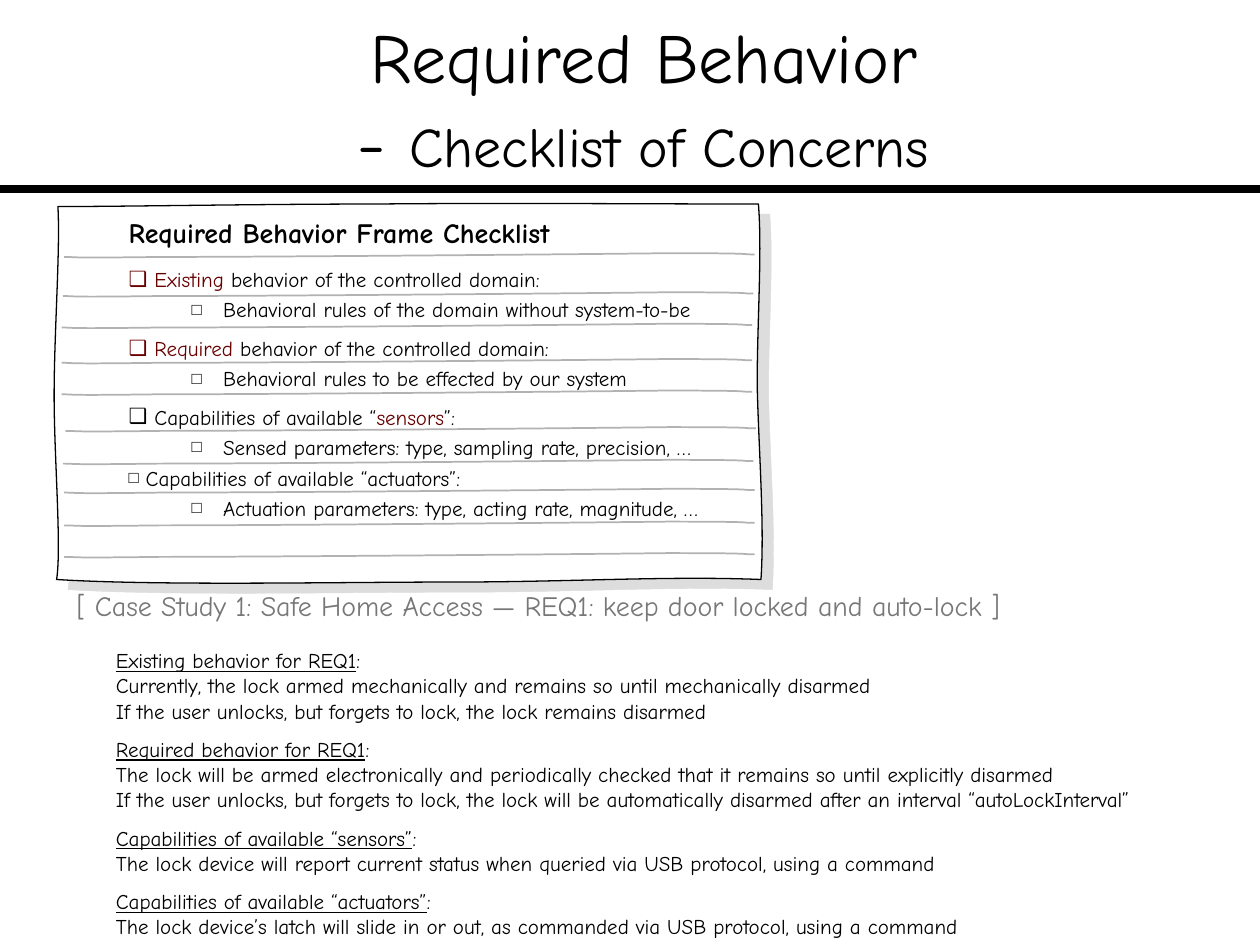
from lxml.etree import SubElement
from pptx import Presentation
from pptx.dml.color import RGBColor
from pptx.enum.shapes import MSO_CONNECTOR as Connector
from pptx.enum.text import MSO_ANCHOR as Anchor, MSO_AUTO_SIZE as AutoSize, PP_ALIGN as Align
from pptx.oxml.ns import qn
from pptx.util import Inches, Pt

BLACK, MAROON, GREY, RULE, SHADE = "000000", "680000", "777777", "B2B2B2", "DDDDDD"

# Curves: a start point, then control, control, end for each segment
SHEET = [
    (0.46, 1.64),
    (0.48, 1.97), (0.43, 2.64), (0.43, 3.14),
    (0.43, 3.63), (0.49, 4.35), (0.45, 4.60),
    (1.26, 4.65), (2.67, 4.62), (3.60, 4.62),
    (4.53, 4.62), (5.30, 4.57), (6.04, 4.60),
    (6.07, 4.16), (6.02, 3.54), (6.01, 3.05),
    (6.01, 2.55), (6.05, 2.00), (6.02, 1.62),
    (5.27, 1.62), (3.91, 1.61), (2.98, 1.62),
    (2.06, 1.62), (0.98, 1.64), (0.46, 1.64)]
RULED_LINE = [
    (0.04, 0.03),
    (0.17, 0.03), (0.00, 0.04), (0.79, 0.03),
    (1.59, 0.03), (4.03, 0.01), (4.82, 0.00),
    (5.61, 0.00), (5.37, 0.01), (5.52, 0.01)]
RULE_OFFSETS = [(0.47, 2.01), (0.46, 2.32), (0.45, 2.85), (0.45, 3.10), (0.46, 3.65),
                (0.47, 3.88), (0.47, 4.14), (0.45, 2.57), (0.48, 3.39), (0.47, 4.39)]

# Paragraphs: format values, then spans of (text, changes)
RED = {"color": MAROON}
LARGE = {"bullet": "❑", "before": 7.5}
SMALL = {"bullet": "□", "bullet_size": 80, "before": 3}
SUB = {**SMALL, "margin": 0.75, "indent": -0.25, "level": 1}
DOMAIN = (" behavior of the controlled domain:", {})
CHECKLIST = [
    ({}, [("Required Behavior Frame Checklist", {"size": 16, "bold": True})]),
    ({**LARGE, "before": 10, "bullet_color": MAROON}, [(" Existing", RED), DOMAIN]),
    (SUB, [("Behavioral rules of the domain without system-to-be", {})]),
    ({**LARGE, "bullet_color": MAROON}, [(" Required", RED), DOMAIN]),
    (SUB, [("Behavioral rules to be effected by our system", {})]),
    (LARGE, [(" Capabilities of available “", {}), ("sensors", RED), ("”:", {})]),
    (SUB, [("Sensed parameters: type, sampling rate, precision, …", {})]),
    (SMALL, [(" Capabilities of available “actuators”:", {})]),
    (SUB, [("Actuation parameters: type, acting rate, magnitude, …", {})]),
]
CASE_TITLE = "[ Case Study 1: Safe Home Access — REQ1: keep door locked and auto-lock ]"
CASE_NOTES = [
    ("Existing behavior for REQ1", [
        "Currently, the lock armed mechanically and remains so until mechanically disarmed",
        "If the user unlocks, but forgets to lock, the lock remains disarmed"]),
    ("Required behavior for REQ1", [
        "The lock will be armed electronically and periodically checked that it remains so "
        "until explicitly disarmed",
        "If the user unlocks, but forgets to lock, the lock will be automatically disarmed "
        "after an interval “autoLockInterval”"]),
    ("Capabilities of available “sensors”", [
        "The lock device will report current status when queried via USB protocol, "
        "using a command"]),
    ("Capabilities of available “actuators”", [
        "The lock device’s latch will slide in or out, as commanded via USB protocol, "
        "using a command"]),
]


def rgb(value):
    return RGBColor.from_string(value)


class SlideBuilder:
    font = "Comic Neue"

    def __init__(self, page):
        self.page = page

    def place(self, box, left, top, width, height):
        values = {"left": left, "top": top, "width": width, "height": height}
        for name, value in values.items():
            setattr(box, name, Inches(value))

    def span(self, para, text, size=12, color=BLACK, bold=False, underline=False):
        run = para.add_run()
        run.text = text
        values = {"name": self.font, "size": Pt(size), "bold": bold, "underline": underline}
        for name, value in values.items():
            setattr(run.font, name, value)
        run.font.color.rgb = rgb(color)

    def bullet(self, para, style):
        props = para._p.get_or_add_pPr()
        props.set("marL", str(Inches(style.get("margin", 0))))
        props.set("indent", str(Inches(style.get("indent", 0))))
        if "bullet" not in style:
            SubElement(props, qn("a:buNone"))
            return
        color = SubElement(SubElement(props, qn("a:buClr")), qn("a:srgbClr"))
        color.set("val", style.get("bullet_color", BLACK))
        size = style.get("bullet_size", 100) * 1000
        SubElement(props, qn("a:buSzPct")).set("val", str(size))
        SubElement(props, qn("a:buChar")).set("char", style["bullet"])

    def paragraphs(self, box, content, margins):
        frame = box.text_frame
        frame.word_wrap = False
        frame.auto_size = AutoSize.SHAPE_TO_FIT_TEXT
        frame.vertical_anchor = Anchor.TOP
        side, edge = margins
        values = {"margin_left": side, "margin_right": side,
                  "margin_top": edge, "margin_bottom": edge}
        for name, value in values.items():
            setattr(frame, name, Inches(value))
        for index, (style, spans) in enumerate(content):
            para = frame.add_paragraph() if index else frame.paragraphs[0]
            para.level = style.get("level", 0)
            para.space_before = Pt(style.get("before", 0))
            self.bullet(para, style)
            for text, changes in spans:
                self.span(para, text, **changes)

    def title(self, lines, *place):
        box = self.page.shapes.title
        self.place(box, *place)
        frame = box.text_frame
        frame.vertical_anchor = Anchor.MIDDLE
        frame.margin_left = frame.margin_right = 0
        para = frame.paragraphs[0]
        para.alignment = Align.CENTER
        for index, spans in enumerate(lines):
            if index:
                para.add_line_break()
            for text, size in spans:
                self.span(para, text, size=size)

    def body(self, content, *place):
        box = self.page.placeholders[1]
        self.place(box, *place)
        self.paragraphs(box, content, (0.1, 0.05))
        box.element.getparent().append(box.element)  # bring in front of the sheet

    def textbox(self, content, place, margins=(0.1, 0.05)):
        box = self.page.shapes.add_textbox(*map(Inches, place))
        self.paragraphs(box, content, margins)

    def line(self, x1, y1, x2, y2, width):
        line = self.page.shapes.add_connector(Connector.STRAIGHT, *map(Inches, (x1, y1, x2, y2)))
        line.line.color.rgb = rgb(BLACK)
        line.line.width = Pt(width)
        SubElement(line.element.spPr, qn("a:effectLst"))

    def curve(self, group, points, offset, color, width, fill=None):
        dx, dy = offset
        first, *rest = [(Inches(x + dx), Inches(y + dy)) for x, y in points]
        builder = group.shapes.build_freeform(*first)
        builder.add_line_segments(rest, close=fill is not None)
        shape = builder.convert_to_shape()
        # Join every three straight steps into one Bezier segment
        steps = list(shape.element.iter(qn("a:lnTo")))
        for a, b, end in zip(steps[::3], steps[1::3], steps[2::3]):
            a.tag = qn("a:cubicBezTo")
            for step in (b, end):
                a.append(step[0])
                step.getparent().remove(step)
        shape.shadow.inherit = False
        shape.line.color.rgb = rgb(color)
        shape.line.width = Pt(width)
        if fill:
            shape.fill.solid()
            shape.fill.fore_color.rgb = rgb(fill)
        else:
            shape.fill.background()


def main():
    deck = Presentation()
    deck.slide_width, deck.slide_height = Inches(10), Inches(7.5)
    slide = SlideBuilder(deck.slides.add_slide(deck.slide_layouts[1]))

    # Header
    slide.line(0, 1.5, 10, 1.5, 4.5)
    slide.title([[("Required Behavior", 40)], [("- ", 40), ("Checklist of Concerns", 32)]],
                0.42, 0.15, 9.38, 1.25)

    # Sheet of ruled paper with its shade
    sheet = slide.page.shapes.add_group_shape()
    slide.curve(sheet, SHEET, (0.09, 0.08), SHADE, 0.25, fill=SHADE)
    slide.curve(sheet, SHEET, (0, 0), BLACK, 0.75, fill="FFFFFF")
    for offset in RULE_OFFSETS:
        slide.curve(sheet, RULED_LINE, offset, RULE, 1)
    slide.body(CHECKLIST, 0.92, 1.66, 4.74, 2.53)

    # Case study
    notes = []
    for heading, sentences in CASE_NOTES:
        notes.append(({"before": 7.5 if notes else 0},
                      [(heading, {"underline": True}), (":", {})]))
        notes += [({}, [(sentence, {})]) for sentence in sentences]
    slide.textbox(notes, (0.91, 5.14, 8.12, 2.31), margins=(0.01, 0))
    slide.textbox([({}, [(CASE_TITLE, {"size": 16, "color": GREY})])], (0.51, 4.62, 7.55, 0.37))

    deck.save("out.pptx")


if __name__ == "__main__":
    main()
